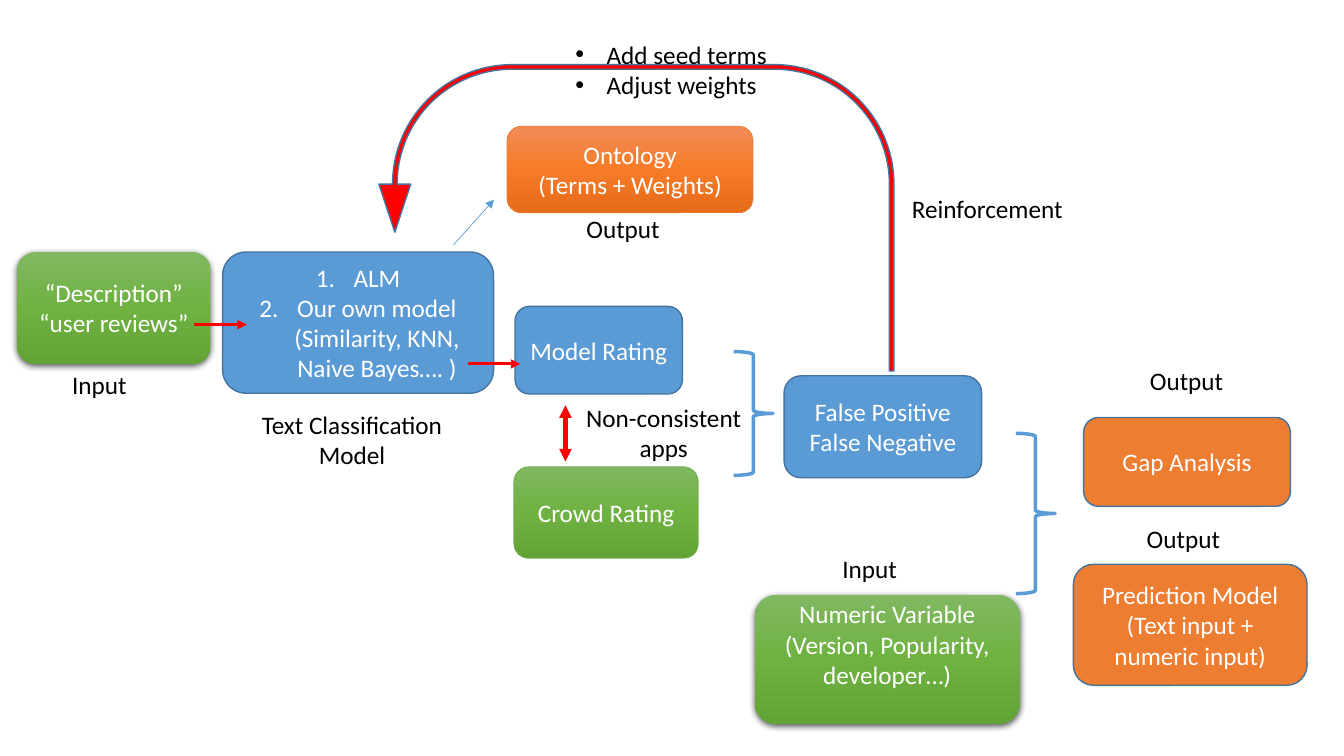
from copy import deepcopy
from typing import NamedTuple, Optional

from lxml import etree
from pptx import Presentation
from pptx.dml.color import RGBColor
from pptx.enum.shapes import MSO_CONNECTOR, MSO_SHAPE
from pptx.enum.text import MSO_ANCHOR, PP_ALIGN
from pptx.oxml.ns import qn
from pptx.util import Cm, Pt

STRAIGHT = MSO_CONNECTOR.STRAIGHT
ROUNDED, BRACE, U_TURN = (
    MSO_SHAPE.ROUNDED_RECTANGLE, MSO_SHAPE.RIGHT_BRACE, MSO_SHAPE.U_TURN_ARROW)
TOP, MIDDLE = MSO_ANCHOR.TOP, MSO_ANCHOR.MIDDLE
LEFT, CENTER = PP_ALIGN.LEFT, PP_ALIGN.CENTER

WHITE = RGBColor(0xFF, 0xFF, 0xFF)
BLACK = RGBColor(0x00, 0x00, 0x00)
RED = RGBColor(0xFF, 0x00, 0x00)
BLUE = RGBColor(0x5B, 0x9B, 0xD5)
DARK_BLUE = RGBColor(0x43, 0x73, 0x9E)
ORANGE = RGBColor(0xED, 0x7D, 0x31)
GREEN = RGBColor(0x70, 0xAD, 0x47)
GREEN_FADE = (RGBColor(0x81, 0xB8, 0x61), RGBColor(0x6F, 0xB2, 0x42), RGBColor(0x62, 0xA3, 0x36))
ORANGE_FADE = (RGBColor(0xF1, 0x8C, 0x57), RGBColor(0xF6, 0x7B, 0x28), RGBColor(0xE5, 0x6C, 0x19))

FONT, TEXT_SIZE = "Calibri", Pt(18)


class Box(NamedTuple):
    text: str
    place: tuple  # left, top, width, height in centimetres
    fill: object  # one colour, or a tuple of three gradient colours
    line: Optional[RGBColor] = DARK_BLUE
    line_width: float = 1
    shadow: bool = False
    numbered: bool = False
    bottom_inset: float = 0.13


class Label(NamedTuple):
    text: str
    place: tuple
    align: PP_ALIGN = LEFT
    bulleted: bool = False


class Arrow(NamedTuple):
    start: tuple
    end: tuple
    color: RGBColor
    width: float
    both_ends: bool = False


BOXES = [
    Box("“Description”\n“user reviews”", (0.43, 6.35, 4.88, 2.82), GREEN_FADE, None, shadow=True),
    Box("ALM\nOur own model (Similarity, KNN, Naive Bayes…. )",
        (5.61, 6.35, 6.83, 3.56), BLUE, numbered=True),
    Box("Model Rating", (12.98, 7.72, 4.22, 2.21), BLUE),
    Box("Crowd Rating", (12.95, 11.76, 4.65, 2.31), GREEN_FADE, GREEN, 0.5),
    Box("False Positive\nFalse Negative", (19.76, 9.47, 4.98, 2.57), BLUE),
    Box("Numeric Variable\n(Version, Popularity, developer…)",
        (19.02, 14.99, 6.68, 3.25), GREEN_FADE, None, shadow=True, bottom_inset=0.9),
    Box("Ontology\n(Terms + Weights)", (12.78, 3.18, 6.2, 2.18), ORANGE_FADE, ORANGE, 0.5),
    Box("Gap Analysis", (27.31, 10.52, 5.21, 2.24), ORANGE),
    Box("Prediction Model (Text input + numeric input)", (27.05, 14.22, 5.89, 3.05), ORANGE),
]
BRACES = [(18.49, 8.86, 0.99, 3.12), (25.6, 10.92, 0.99, 4.04)]
ARROWS = [
    Arrow((14.25, 10.21), (14.25, 11.63), RED, 3, both_ends=True),
    Arrow((11.43, 6.17), (12.45, 5.03), BLUE, 0.5),
    Arrow((4.9, 8.18), (6.22, 8.18), RED, 2.25),
    Arrow((11.79, 9.17), (13.11, 9.17), RED, 2.25),
]
LABELS = [
    Label("Input", (1.57, 9.17, 3.5, 1.04)),
    Label("Input", (20.98, 13.82, 3.5, 1.04)),
    Label("Output", (14.53, 5.26, 2.6, 1.04)),
    Label("Output", (28.73, 9.09, 2.6, 1.04)),
    Label("Output", (28.65, 13.06, 2.6, 1.04)),
    Label("Text Classification Model", (6.1, 10.19, 5.54, 1.8), CENTER),
    Label("Non-consistent\napps", (14.4, 10.01, 4.65, 1.8), CENTER),
    Label("Add seed terms\nAdjust weights", (14.25, 0.86, 5.54, 1.8), bulleted=True),
    Label("Reinforcement", (22.73, 4.75, 5.23, 1.02)),
]
FEEDBACK_PLACE = (9.55, 1.63, 12.98, 7.72)
FEEDBACK_ADJUSTMENTS = (0.015, 0.052, 0.157, 0.438, 0.547)


def add_list_mark(paragraph, indent: float, tag: str, **attributes: str) -> None:
    properties = paragraph._p.get_or_add_pPr()
    properties.set("marL", str(Cm(indent)))
    properties.set("indent", str(-Cm(indent)))
    if tag == "a:buChar":
        etree.SubElement(properties, qn("a:buFont"), typeface="Arial")
    etree.SubElement(properties, qn(tag), **attributes)


def write_text(shape, text: str, *, color: RGBColor, align: PP_ALIGN, anchor: MSO_ANCHOR,
               bulleted: bool = False, numbered: bool = False) -> None:
    frame = shape.text_frame
    frame.word_wrap = True
    frame.vertical_anchor = anchor
    frame.text = text
    for paragraph in frame.paragraphs:
        paragraph.alignment = align
        for run in paragraph.runs:
            run.font.name, run.font.size = FONT, TEXT_SIZE
            run.font.color.rgb = color
        if bulleted:
            add_list_mark(paragraph, 0.79, "a:buChar", char="•")
        if numbered:
            add_list_mark(paragraph, 0.95, "a:buAutoNum", type="arabicPeriod")


def add_plain_shape(slide, kind: MSO_SHAPE, place: tuple, line: Optional[RGBColor],
                    line_width: float):
    shape = slide.shapes.add_shape(kind, *map(Cm, place))
    shape.shadow.inherit = False
    if line is None:
        shape.line.fill.background()
    else:
        shape.line.color.rgb = line
        shape.line.width = Pt(line_width)
    return shape


def fill_gradient(shape, colors: tuple) -> None:
    shape.fill.gradient()
    shape.fill.gradient_angle = 270
    stop_list = shape._element.spPr.find(qn("a:gradFill")).find(qn("a:gsLst"))
    stop_list.insert(1, deepcopy(stop_list[0]))
    for stop, color, position in zip(shape.fill.gradient_stops, colors, (0, 0.5, 1)):
        stop.color.rgb = color
        stop.position = position


def add_shadow(shape) -> None:
    effects = shape._element.spPr.find(qn("a:effectLst"))
    shadow = etree.SubElement(effects, qn("a:outerShdw"), blurRad=str(Pt(4.5)),
                              dist=str(Pt(1.5)), dir="5400000", algn="ctr", rotWithShape="0")
    color = etree.SubElement(shadow, qn("a:srgbClr"), val=str(BLACK))
    etree.SubElement(color, qn("a:alpha"), val="63000")


def add_box(slide, box: Box) -> None:
    shape = add_plain_shape(slide, ROUNDED, box.place, box.line, box.line_width)
    if isinstance(box.fill, RGBColor):
        shape.fill.solid()
        shape.fill.fore_color.rgb = box.fill
    else:
        fill_gradient(shape, box.fill)
    if box.shadow:
        add_shadow(shape)
    shape.text_frame.margin_bottom = Cm(box.bottom_inset)
    write_text(shape, box.text, color=WHITE, align=CENTER, anchor=MIDDLE, numbered=box.numbered)


def add_arrow(slide, arrow: Arrow) -> None:
    connector = slide.shapes.add_connector(STRAIGHT, *map(Cm, arrow.start + arrow.end))
    connector.line.color.rgb = arrow.color
    connector.line.width = Pt(arrow.width)
    outline = connector.line._get_or_add_ln()
    for tag in ("a:headEnd", "a:tailEnd") if arrow.both_ends else ("a:tailEnd",):
        etree.SubElement(outline, qn(tag), type="triangle")
    etree.SubElement(connector._element.spPr, qn("a:effectLst"))


def add_label(slide, label: Label) -> None:
    shape = slide.shapes.add_textbox(*map(Cm, label.place))
    write_text(shape, label.text, color=BLACK, align=label.align, anchor=TOP,
               bulleted=label.bulleted)


def add_feedback_arrow(slide) -> None:
    shape = add_plain_shape(slide, U_TURN, FEEDBACK_PLACE, DARK_BLUE, 1)
    shape.fill.solid()
    shape.fill.fore_color.rgb = RED
    for index, value in enumerate(FEEDBACK_ADJUSTMENTS):
        shape.adjustments[index] = value
    shape._element.spPr.find(qn("a:xfrm")).set("flipH", "1")


presentation = Presentation()
presentation.slide_width, presentation.slide_height = Cm(33.87), Cm(19.05)
slide = presentation.slides.add_slide(presentation.slide_layouts[6])

# Process steps
for box in BOXES:
    add_box(slide, box)

# Braces that join the steps
for place in BRACES:
    add_plain_shape(slide, BRACE, place, BLUE, 2.5).fill.background()

# Flow and feedback arrows
for arrow in ARROWS:
    add_arrow(slide, arrow)
add_feedback_arrow(slide)

# Captions
for label in LABELS:
    add_label(slide, label)

presentation.save("out.pptx")
